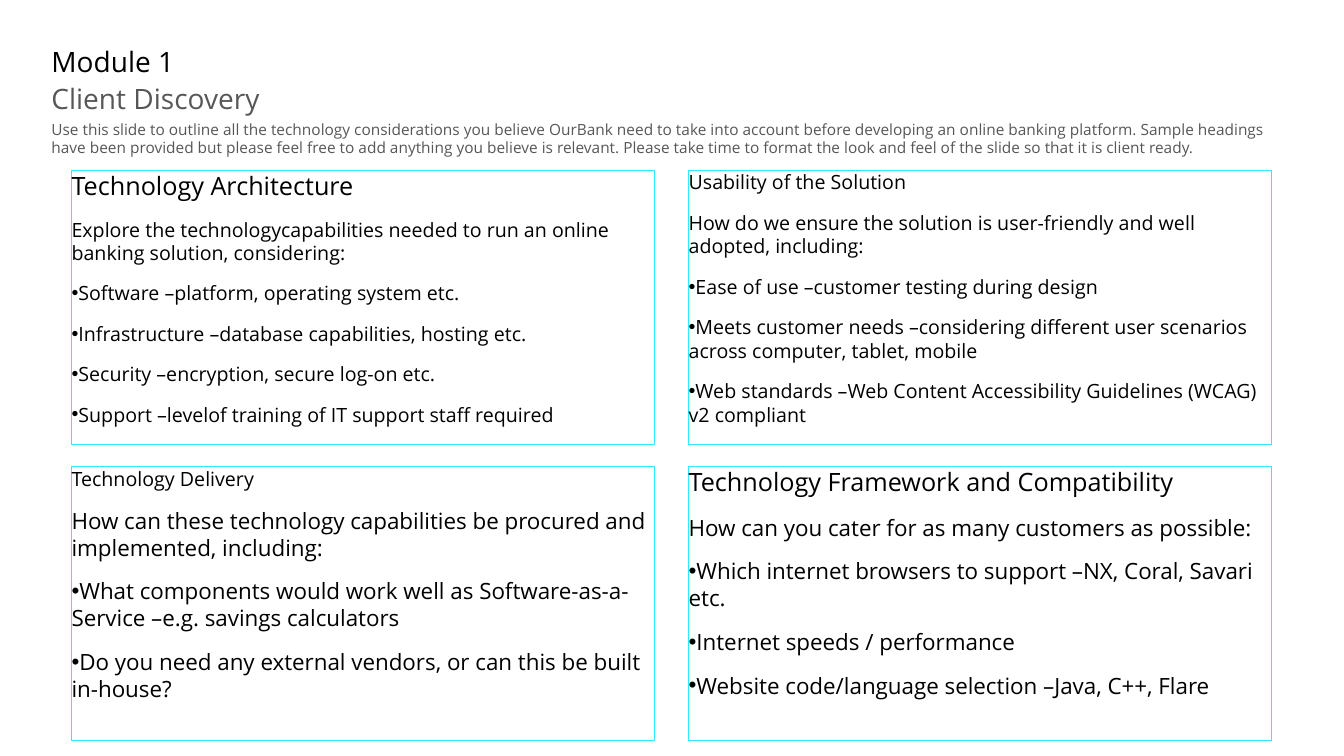
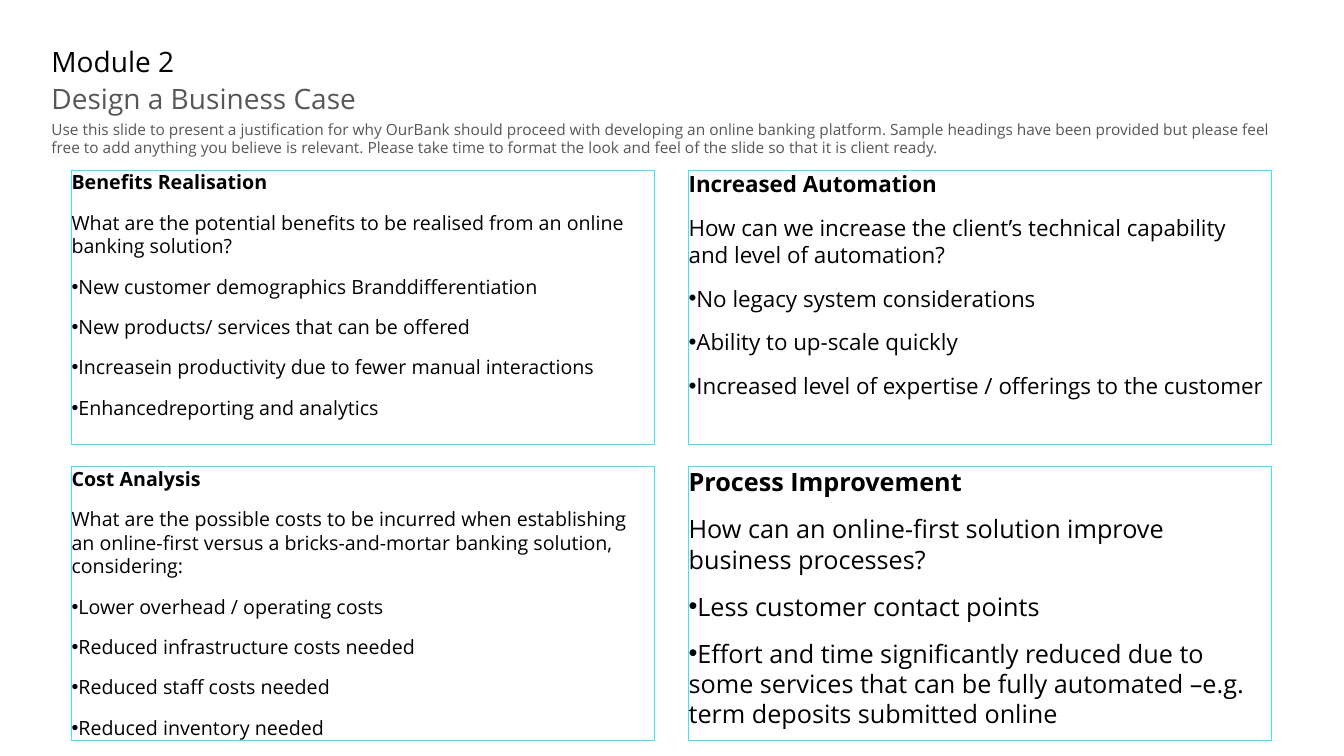
from pptx import Presentation
from pptx.dml.color import RGBColor
from pptx.enum import text as txt
from pptx.oxml.xmlchemy import OxmlElement
from pptx.util import Inches, Pt

FONT = "Open Sans"
COLORS = {"text": "000000", "muted": "575757", "frame": "32E9FF"}
COMPARISON_LAYOUT = 4  # a title and four bodies

PANEL_W, PANEL_H = 5.78, 2.72
PANEL_LEFT, PANEL_TOP = 0.71, 1.69
COLUMN_STEP, ROW_STEP = 6.12, 2.94

MODULES = [
    {
        "title": "Module 1",
        "subtitle": "Client Discovery",
        "intro": "Use this slide to outline all the technology considerations you believe "
                 "OurBank need to take into account before developing an online banking "
                 "platform. Sample headings have been provided but please feel free to add "
                 "anything you believe is relevant. Please take time to format the look and "
                 "feel of the slide so that it is client ready.",
        "bold_headings": False,
        # heading, heading size, question, body size, points
        "panels": [
            ("Technology Architecture", 18,
             "Explore the technologycapabilities needed to run an online banking solution, "
             "considering:", 14,
             ["Software –platform, operating system etc.",
              "Infrastructure –database capabilities, hosting etc.",
              "Security –encryption, secure log-on etc.",
              "Support –levelof training of IT support staff required"]),
            ("Usability of the Solution", 14,
             "How do we ensure the solution is user-friendly and well adopted, including:", 14,
             ["Ease of use –customer testing during design",
              "Meets customer needs –considering different user scenarios across computer, "
              "tablet, mobile",
              "Web standards –Web Content Accessibility Guidelines (WCAG) v2 compliant"]),
            ("Technology Delivery", 14,
             "How can these technology capabilities be procured and implemented, including:", 16,
             ["What components would work well as Software-as-a-Service –e.g. savings "
              "calculators",
              "Do you need any external vendors, or can this be built in-house?"]),
            ("Technology Framework and Compatibility", 18,
             "How can you cater for as many customers as possible:", 16,
             ["Which internet browsers to support –NX, Coral, Savari etc.",
              "Internet speeds / performance",
              "Website code/language selection –Java, C++, Flare"]),
        ],
    },
    {
        "title": "Module 2",
        "subtitle": "Design a Business Case",
        "intro": "Use this slide to present a justification for why OurBank should proceed "
                 "with developing an online banking platform. Sample headings have been "
                 "provided but please feel free to add anything you believe is relevant. "
                 "Please take time to format the look and feel of the slide so that it is "
                 "client ready.",
        "bold_headings": True,
        "panels": [
            ("Benefits Realisation", 14,
             "What are the potential benefits to be realised from an online banking "
             "solution?", 14,
             ["New customer demographics Branddifferentiation",
              "New products/ services that can be offered",
              "Increasein productivity due to fewer manual interactions",
              "Enhancedreporting and analytics"]),
            ("Increased Automation", 16,
             "How can we increase the client’s technical capability and level of "
             "automation?", 16,
             ["No legacy system considerations",
              "Ability to up-scale quickly",
              "Increased level of expertise / offerings to the customer"]),
            ("Cost Analysis", 14,
             "What are the possible costs to be incurred when establishing an online-first "
             "versus a bricks-and-mortar banking solution, considering:", 14,
             ["Lower overhead / operating costs",
              "Reduced infrastructure costs needed",
              "Reduced staff costs needed",
              "Reduced inventory needed"]),
            ("Process Improvement", 18,
             "How can an online-first solution improve business processes?", 18,
             ["Less customer contact points",
              "Effort and time significantly reduced due to some services that can be fully "
              "automated –e.g. term deposits submitted online"]),
        ],
    },
]


def rgb(name):
    return RGBColor.from_string(COLORS[name])


def place(shape, left, top, width, height):
    """Move a shape and give its text frame the shared settings."""
    shape.left, shape.top = Inches(left), Inches(top)
    shape.width, shape.height = Inches(width), Inches(height)
    frame = shape.text_frame
    frame.margin_left = frame.margin_right = frame.margin_top = frame.margin_bottom = 0
    frame.word_wrap = True
    frame.auto_size = txt.MSO_AUTO_SIZE.NONE
    frame.vertical_anchor = txt.MSO_ANCHOR.TOP
    return frame


def write(paragraph, content, size, color="text", bold=False, before=0, after=0, bullet=False):
    paragraph.alignment = txt.PP_ALIGN.LEFT
    paragraph.line_spacing = 1.0
    paragraph.space_before, paragraph.space_after = Pt(before), Pt(after)
    props = paragraph._p.get_or_add_pPr()
    props.set("marL", "0")
    props.set("indent", "0")
    mark = OxmlElement("a:buChar" if bullet else "a:buNone")
    if bullet:
        mark.set("char", "•")
    props.append(mark)
    run = paragraph.add_run()
    run.text = content
    font = run.font
    font.name, font.size, font.bold = FONT, Pt(size), bold
    font.color.rgb = rgb(color)


def add_header(slide, module, left=0.51, top=0.44):
    title = place(slide.shapes.title, left, top, 10.02, 0.37)
    write(title.paragraphs[0], module["title"], 20)
    for key, offset, width, height, size in (("subtitle", 0.37, 10.02, 0.41, 20),
                                             ("intro", 0.75, 12.32, 0.44, 11)):
        frame = place(slide.shapes.add_textbox(0, 0, 0, 0), left, top + offset, width, height)
        write(frame.paragraphs[0], module[key], size, color="muted", after=10)


def fill_panel(body, left, top, panel, bold_heading):
    heading, heading_size, question, body_size, points = panel
    frame = place(body, left, top, PANEL_W, PANEL_H)
    body.line.color.rgb = rgb("frame")
    body.line.width = Pt(0.75)
    write(frame.paragraphs[0], heading, heading_size, bold=bold_heading, before=6, after=6)
    write(frame.add_paragraph(), question, body_size, before=6, after=6)
    for point in points:
        write(frame.add_paragraph(), point, body_size, before=6, after=6, bullet=True)


def add_module_slide(deck, module):
    slide = deck.slides.add_slide(deck.slide_layouts[COMPARISON_LAYOUT])
    add_header(slide, module)
    for i, panel in enumerate(module["panels"]):
        row, column = divmod(i, 2)
        fill_panel(slide.placeholders[i + 1], PANEL_LEFT + column * COLUMN_STEP,
                   PANEL_TOP + row * ROW_STEP, panel, module["bold_headings"])


def main():
    deck = Presentation()
    deck.slide_width, deck.slide_height = Inches(13.33), Inches(7.5)
    for module in MODULES:
        add_module_slide(deck, module)
    deck.save("out.pptx")


if __name__ == "__main__":
    main()
